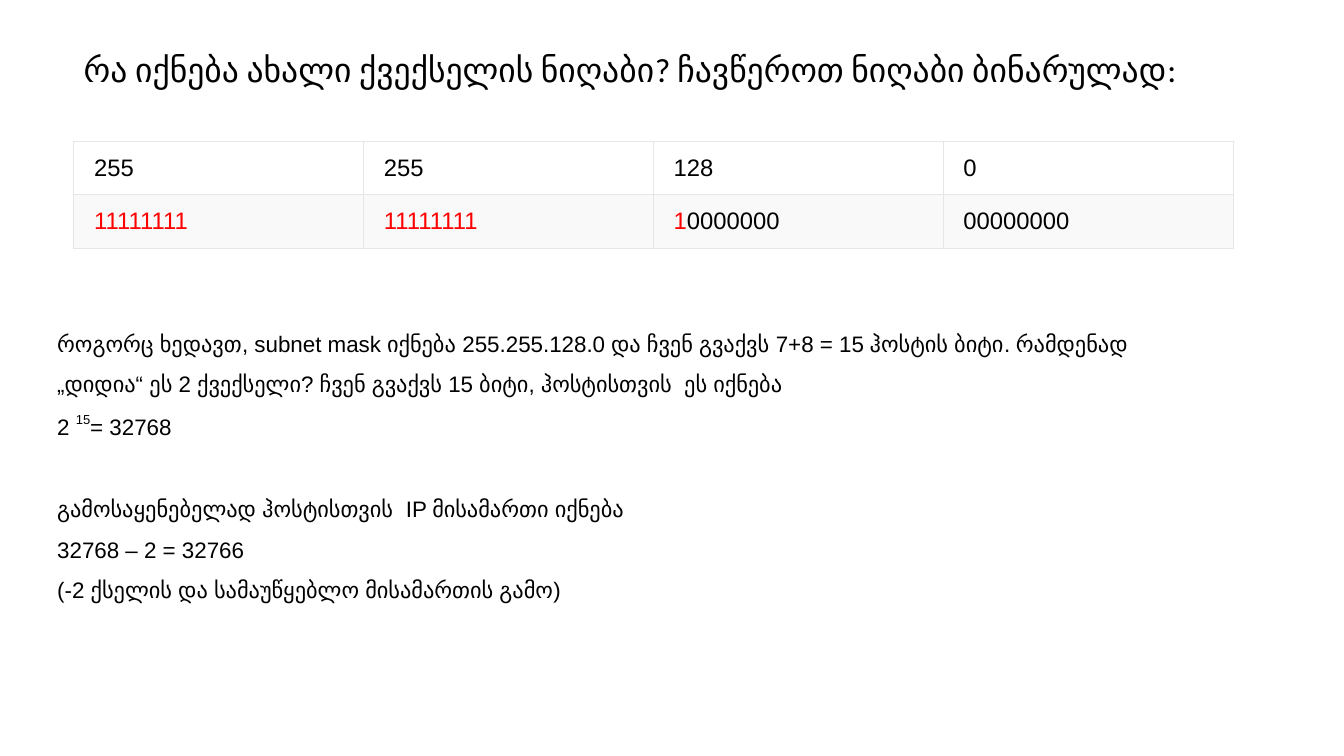
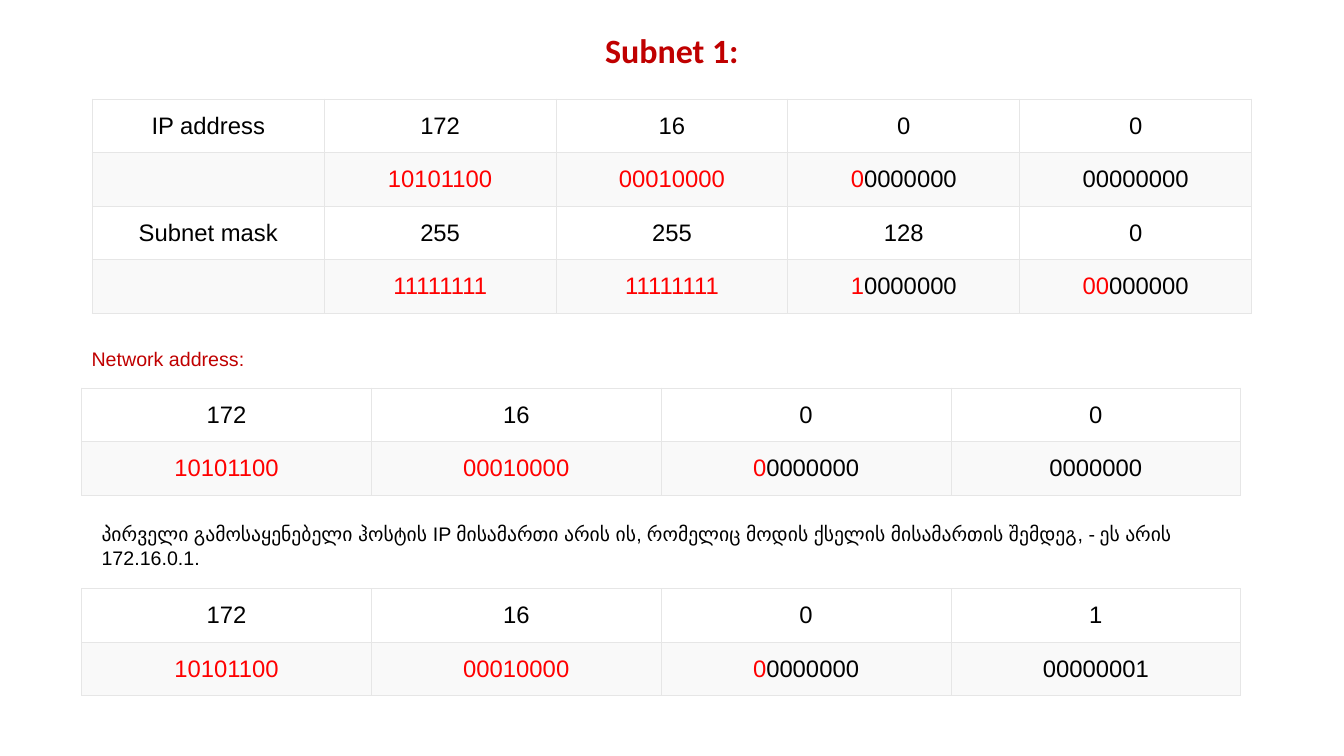
from lxml import etree
from pptx import Presentation
from pptx import util as u
from pptx.dml import color
from pptx.enum import text as t
from pptx.oxml import ns

Pt = u.Pt
BLACK, RED, DARK, EDGE = "000000", "FF0000", "C00000", "E6E6E6"
FILLS = "FFFFFF", "F9F9F9"
LEFT, MID = t.PP_ALIGN.LEFT, t.PP_ALIGN.CENTER


def paint(part, tone):
    """Give a font colour or a solid fill its hex tone."""
    part.rgb = color.RGBColor.from_string(tone)


class Deck:
    """Holds the style and the current slide."""

    wide, row = 828, 38.3

    def __init__(self):
        self.prs = Presentation()
        self.prs.slide_width, self.prs.slide_height = Pt(960), Pt(540)

    def page(self):
        self.slide = self.prs.slides.add_slide(self.prs.slide_layouts[5])

    def style(self, para, size, tone=BLACK, face="Arial", bold=False):
        font = para.font
        font.name, font.size, font.bold = face, Pt(size), bold
        paint(font.color, tone)

    def title(self, words, x, y, h, size=24, tone=BLACK, bold=False, align=LEFT):
        box = self.slide.shapes.title
        box.left, box.top, box.width, box.height = Pt(x), Pt(y), Pt(self.wide), Pt(h)
        frame = box.text_frame
        frame.text = words
        frame.auto_size = t.MSO_AUTO_SIZE.NONE
        frame.vertical_anchor = t.MSO_ANCHOR.TOP
        para = frame.paragraphs[0]
        para.alignment, para.line_spacing = align, 0.9
        self.style(para, size, tone, "Calibri", bold)

    def note(self, lines, x, y, w, h, size=14, tone=BLACK, space=1.0):
        """Add a text box and return its paragraphs."""
        frame = self.slide.shapes.add_textbox(Pt(x), Pt(y), Pt(w), Pt(h)).text_frame
        frame.word_wrap = True
        for i, line in enumerate(lines):
            para = frame.add_paragraph() if i else frame.paragraphs[0]
            para.line_spacing = space
            self.style(para, size, tone)
            # Text between carets is raised
            for j, piece in enumerate(line.split("^")):
                run = para.add_run()
                run.text = piece
                if j % 2:
                    run._r.get_or_add_rPr().set("baseline", "50000")
        return frame.paragraphs

    def grid(self, rows, x, y, align=MID):
        """Add a table; the part of a cell before a bar is red."""
        cols = len(rows[0])
        table = self.slide.shapes.add_table(
            len(rows), cols, Pt(x), Pt(y), Pt(self.wide), Pt(self.row * len(rows))).table
        table.first_row = table.horz_banding = False
        for col in table.columns:
            col.width = Pt(self.wide / cols)
        for i, row in enumerate(rows):
            table.rows[i].height = Pt(self.row)
            for j, words in enumerate(row):
                self.cell(table.cell(i, j), words, FILLS[i % 2], align)

    def cell(self, cell, words, fill, align):
        self.edge(cell)
        cell.fill.solid()
        paint(cell.fill.fore_color, fill)
        cell.vertical_anchor = t.MSO_ANCHOR.MIDDLE
        cell.margin_left = cell.margin_right = Pt(14.4)
        cell.margin_top = cell.margin_bottom = Pt(7.2)
        para = cell.text_frame.paragraphs[0]
        para.alignment = align
        self.style(para, 17)
        red, bar, rest = words.rpartition("|")
        for piece, tone in ((red, RED), (rest, BLACK)):
            if piece:
                run = para.add_run()
                run.text = piece
                paint(run.font.color, tone)

    def edge(self, cell):
        props = cell._tc.get_or_add_tcPr()
        for side in ("a:lnL", "a:lnR", "a:lnT", "a:lnB"):
            line = etree.SubElement(props, ns.qn(side), w=str(Pt(0.75)))
            fill = etree.SubElement(line, ns.qn("a:solidFill"))
            etree.SubElement(fill, ns.qn("a:srgbClr"), val=EDGE)


def main():
    deck = Deck()
    mask = ["255", "255", "128", "0"]
    ones = ["11111111|", "11111111|", "1|0000000"]
    net = ["172", "16", "0"]
    bits = ["10101100|", "00010000|", "0|0000000"]

    # New subnet mask
    deck.page()
    deck.title("რა იქნება ახალი ქვექსელის ნიღაბი? ჩავწეროთ ნიღაბი ბინარულად:",
               52.6, 34.6, 57)
    deck.grid([mask, ones + ["00000000"]], 52.8, 100.8, LEFT)
    paras = deck.note([
        "როგორც ხედავთ, subnet mask იქნება 255.255.128.0 და ჩვენ გვაქვს 7+8 = 15 "
        "ჰოსტის ბიტი. რამდენად „დიდია“ ეს 2 ქვექსელი? ჩვენ გვაქვს 15 ბიტი, "
        "ჰოსტისთვის  ეს იქნება",
        "2 ^15^= 32768",
        "გამოსაყენებელად ჰოსტისთვის  IP მისამართი იქნება",
        "32768 – 2 = 32766",
        "(-2 ქსელის და სამაუწყებლო მისამართის გამო)",
    ], 33.8, 222.5, 817, 198, size=16, space=1.5)
    paras[2].space_before = Pt(30)

    # First subnet
    deck.page()
    deck.title("Subnet 1:", 66, 21, 44, 24.3, DARK, True, MID)
    deck.grid([
        ["IP address"] + net + ["0"],
        [""] + bits + ["00000000"],
        ["Subnet mask"] + mask,
        [""] + ones + ["00|000000"],
    ], 66, 70.7)
    deck.note(["Network address:"], 58.3, 244, 145, 29, tone=DARK)
    deck.note(["პირველი გამოსაყენებელი ჰოსტის IP მისამართი არის ის, რომელიც მოდის "
               "ქსელის მისამართის შემდეგ, - ეს არის 172.16.0.1."],
              65.5, 369.4, 814, 51)
    for y, last, code in ((277.2, "0", "0000000"), (420.4, "1", "00000001")):
        deck.grid([net + [last], bits + [code]], 58.3, y)

    deck.prs.save("out.pptx")


if __name__ == "__main__":
    main()
